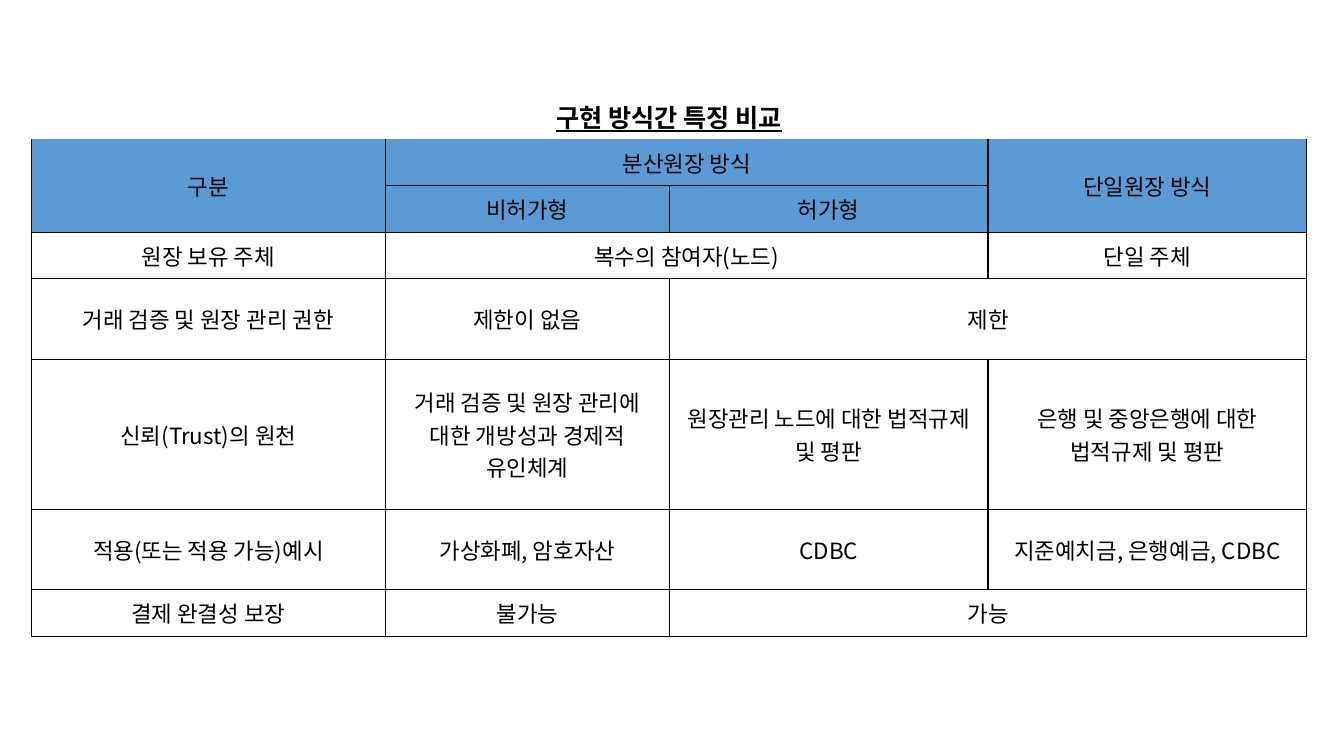
from dataclasses import dataclass

from lxml import etree
from pptx import Presentation
from pptx.dml.color import RGBColor
from pptx.enum.text import MSO_ANCHOR, PP_ALIGN
from pptx.oxml.ns import qn
from pptx.util import Cm, Pt

CENTER = PP_ALIGN.CENTER
MIDDLE = MSO_ANCHOR.MIDDLE
BLANK_LAYOUT = 6
PLAIN_TABLE_STYLE = "{2D5ABB26-0587-4C30-8999-92F81FD0307C}"


@dataclass(frozen=True)
class Theme:
    font: str = "Noto Sans CJK KR"
    text: str = "000000"
    header: str = "5B9BD5"
    border: str = "000000"
    border_width: int = Pt(1)
    title_size: int = Pt(18)
    body_size: int = Pt(16)


THEME = Theme()
TITLE_FORMAT = {"size": THEME.title_size, "bold": True, "underline": True}
BODY_FORMAT = {"size": THEME.body_size, "bold": False, "underline": False}

TABLE_LEFT, TABLE_TOP = Cm(0.79), Cm(2.34)
COLUMN_WIDTHS = [Cm(width) for width in (8.92, 7.16, 8.03, 8.03)]
ROW_HEIGHTS = [Cm(height) for height in (1.17, 1.17, 1.17, 1.17, 2.03, 3.78, 2.03, 1.17)]
TITLE_ROW = 0
HEADER_ROWS = (1, 2)

# None marks a cell covered by a merged neighbour.
COMPARISON = [
    ["구현 방식간 특징 비교", None, None, None],
    ["구분", "분산원장 방식", None, "단일원장 방식"],
    [None, "비허가형", "허가형", None],
    ["원장 보유 주체", "복수의 참여자(노드)", None, "단일 주체"],
    ["거래 검증 및 원장 관리 권한", "제한이 없음", "제한", None],
    ["신뢰(Trust)의 원천", "거래 검증 및 원장 관리에 대한 개방성과 경제적 유인체계",
     "원장관리 노드에 대한 법적규제 및 평판", "은행 및 중앙은행에 대한 법적규제 및 평판"],
    ["적용(또는 적용 가능)예시", "가상화폐, 암호자산", "CDBC", "지준예치금, 은행예금, CDBC"],
    ["결제 완결성 보장", "불가능", "가능", None],
]
# First and last cell of each merged block, as (row, column).
MERGES = [
    ((0, 0), (0, 3)),
    ((1, 0), (2, 0)),
    ((1, 1), (1, 2)),
    ((1, 3), (2, 3)),
    ((3, 1), (3, 2)),
    ((4, 2), (4, 3)),
    ((7, 2), (7, 3)),
]


def add_plain_table(slide):
    """Add a table without style, sized and merged for the comparison."""
    frame = slide.shapes.add_table(
        len(ROW_HEIGHTS), len(COLUMN_WIDTHS), TABLE_LEFT, TABLE_TOP,
        sum(COLUMN_WIDTHS), sum(ROW_HEIGHTS))
    table = frame.table
    table.first_row = table.horz_banding = False
    table._tbl.tblPr.find(qn("a:tableStyleId")).text = PLAIN_TABLE_STYLE
    for column, width in zip(table.columns, COLUMN_WIDTHS):
        column.width = width
    for row, height in zip(table.rows, ROW_HEIGHTS):
        row.height = height
    for first, last in MERGES:
        table.cell(*first).merge(table.cell(*last))
    return table


def set_borders(cell):
    """Draw the left, right and bottom edges of a cell."""
    properties = cell._tc.get_or_add_tcPr()
    for edge in ("a:lnL", "a:lnR", "a:lnB"):
        line = etree.SubElement(properties, qn(edge), w=str(THEME.border_width))
        fill = etree.SubElement(line, qn("a:solidFill"))
        etree.SubElement(fill, qn("a:srgbClr"), val=THEME.border)


def set_fill(cell, color):
    cell.fill.solid()
    cell.fill.fore_color.rgb = RGBColor.from_string(color)


def write_text(cell, text, font_format):
    cell.vertical_anchor = MIDDLE
    paragraph = cell.text_frame.paragraphs[0]
    paragraph.alignment = CENTER
    run = paragraph.add_run()
    run.text = text
    for name, value in font_format.items():
        setattr(run.font, name, value)
    run.font.name = THEME.font
    run.font.color.rgb = RGBColor.from_string(THEME.text)
    etree.SubElement(run.font._element, qn("a:ea"), typeface=THEME.font)


def fill_table(table):
    for row_index, texts in enumerate(COMPARISON):
        is_title = row_index == TITLE_ROW
        for column_index, text in enumerate(texts):
            cell = table.cell(row_index, column_index)
            if not is_title:
                set_borders(cell)
            if row_index in HEADER_ROWS:
                set_fill(cell, THEME.header)
            else:
                cell.fill.background()
            if text:
                write_text(cell, text, TITLE_FORMAT if is_title else BODY_FORMAT)


def main():
    presentation = Presentation()
    presentation.slide_width = Cm(33.87)
    presentation.slide_height = Cm(19.05)
    slide = presentation.slides.add_slide(presentation.slide_layouts[BLANK_LAYOUT])
    fill_table(add_plain_table(slide))
    presentation.save("out.pptx")


if __name__ == "__main__":
    main()
